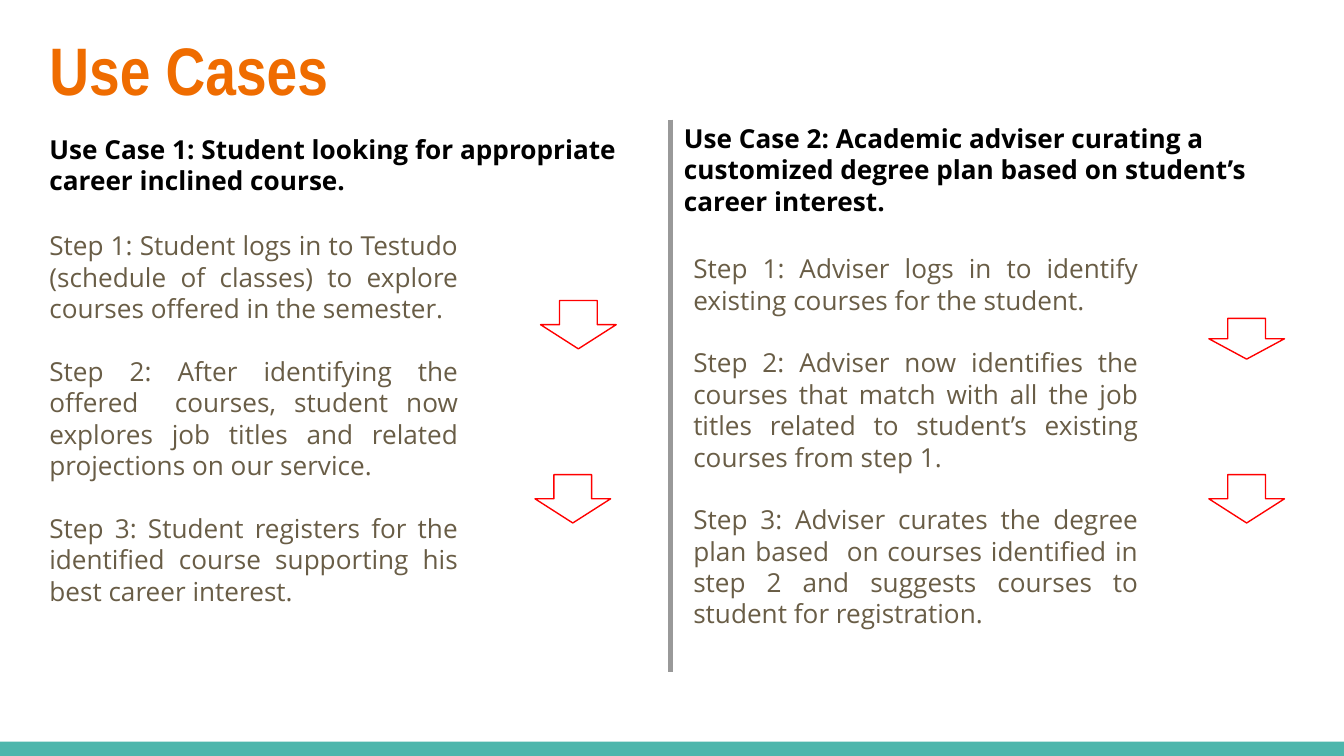
"""Build the Use Cases slide with two columns of steps."""
from lxml.etree import SubElement
from pptx import Presentation
from pptx.dml.color import RGBColor
from pptx.enum.shapes import MSO_CONNECTOR, MSO_SHAPE
from pptx.enum.text import PP_ALIGN
from pptx.oxml.ns import qn
from pptx.util import Pt

TITLE = "Use Cases"
USE_CASES = [
    {
        "heading": "Use Case 1: Student looking for appropriate career inclined course.",
        "heading_box": (19.4, 64.1, 318.2, 42.5),
        "steps": [
            "Step 1: Student logs in to Testudo (schedule of classes) to explore "
            "courses offered in the semester.",
            "Step 2: After identifying the offered  courses, student now explores "
            "job titles and related projections on our service.",
            "Step 3: Student registers for the identified course supporting his "
            "best career interest.",
        ],
        "steps_box": (19.4, 115.9, 233.3, 237.6),
        "arrows": [(289.6, 161, 25.9), (286.6, 254.3, 25.9)],
    },
    {
        "heading": "Use Case 2: Academic adviser curating a customized degree plan "
                   "based on student’s career interest.",
        "heading_box": (359.3, 58.3, 331.9, 42.5),
        "steps": [
            "Step 1: Adviser logs in to identify existing courses for the student.",
            "Step 2: Adviser now identifies the courses that match with all the job "
            "titles related to student’s existing courses from step 1.",
            "Step 3: Adviser curates the degree plan based  on courses identified in "
            "step 2 and suggests courses to student for registration.",
        ],
        "steps_box": (364.3, 128.2, 252.7, 237.6),
        "arrows": [(647.6, 170.6, 21.8), (647.6, 254.3, 25.9)],
    },
]
WIDTH, HEIGHT = 720, 405
FOOTER_HEIGHT = 7.7
ARROW_WIDTH = 40.5
INSET = 7.2
STEP_GAP = 16.8


def color(hex_string):
    return RGBColor.from_string(hex_string)


def add_text(slide, box, lines, font_name, size, ink, bold=False, align=PP_ALIGN.LEFT):
    frame = slide.shapes.add_textbox(*map(Pt, box)).text_frame
    frame.word_wrap = True
    frame.margin_left = frame.margin_right = Pt(INSET)
    frame.margin_top = frame.margin_bottom = Pt(INSET)
    for index, line in enumerate(lines):
        paragraph = frame.paragraphs[0] if index == 0 else frame.add_paragraph()
        paragraph.text = line
        paragraph.alignment = align
        if index:
            paragraph.space_before = Pt(STEP_GAP)
        paragraph.font.name = font_name
        paragraph.font.size = Pt(size)
        paragraph.font.bold = bold
        paragraph.font.color.rgb = color(ink)


def add_filled(slide, preset, box, fill, outline=None):
    shape = slide.shapes.add_shape(preset, *map(Pt, box))
    shape.shadow.inherit = False
    shape.fill.solid()
    shape.fill.fore_color.rgb = color(fill)
    if outline:
        shape.line.color.rgb = color(outline)
        shape.line.width = Pt(0.75)
    else:
        shape.line.fill.background()


def add_divider(slide, x, top, bottom):
    divider = slide.shapes.add_connector(
        MSO_CONNECTOR.STRAIGHT, Pt(x), Pt(top), Pt(x), Pt(bottom))
    divider.line.color.rgb = color("999999")
    divider.line.width = Pt(3)
    SubElement(divider._element.spPr, qn("a:effectLst"))


def main():
    deck = Presentation()
    deck.slide_width, deck.slide_height = Pt(WIDTH), Pt(HEIGHT)
    slide = deck.slides.add_slide(deck.slide_layouts[6])
    add_filled(slide, MSO_SHAPE.RECTANGLE,
               (0, HEIGHT - FOOTER_HEIGHT, WIDTH, FOOTER_HEIGHT), "4DB6AC")
    add_text(slide, (19.4, 7.9, 671, 55.4), [TITLE], "Arial Narrow", 36, "EF6C00", bold=True)
    add_divider(slide, 359.3, 64.1, 360)
    for case in USE_CASES:
        add_text(slide, case["heading_box"], [case["heading"]],
                 "Open Sans", 14, "000000", bold=True)
        add_text(slide, case["steps_box"], case["steps"],
                 "Open Sans", 14, "695D46", align=PP_ALIGN.JUSTIFY)
        for left, top, height in case["arrows"]:
            add_filled(slide, MSO_SHAPE.DOWN_ARROW,
                       (left, top, ARROW_WIDTH, height), "FFFFFF", "FF0000")
    deck.save("out.pptx")


if __name__ == "__main__":
    main()
